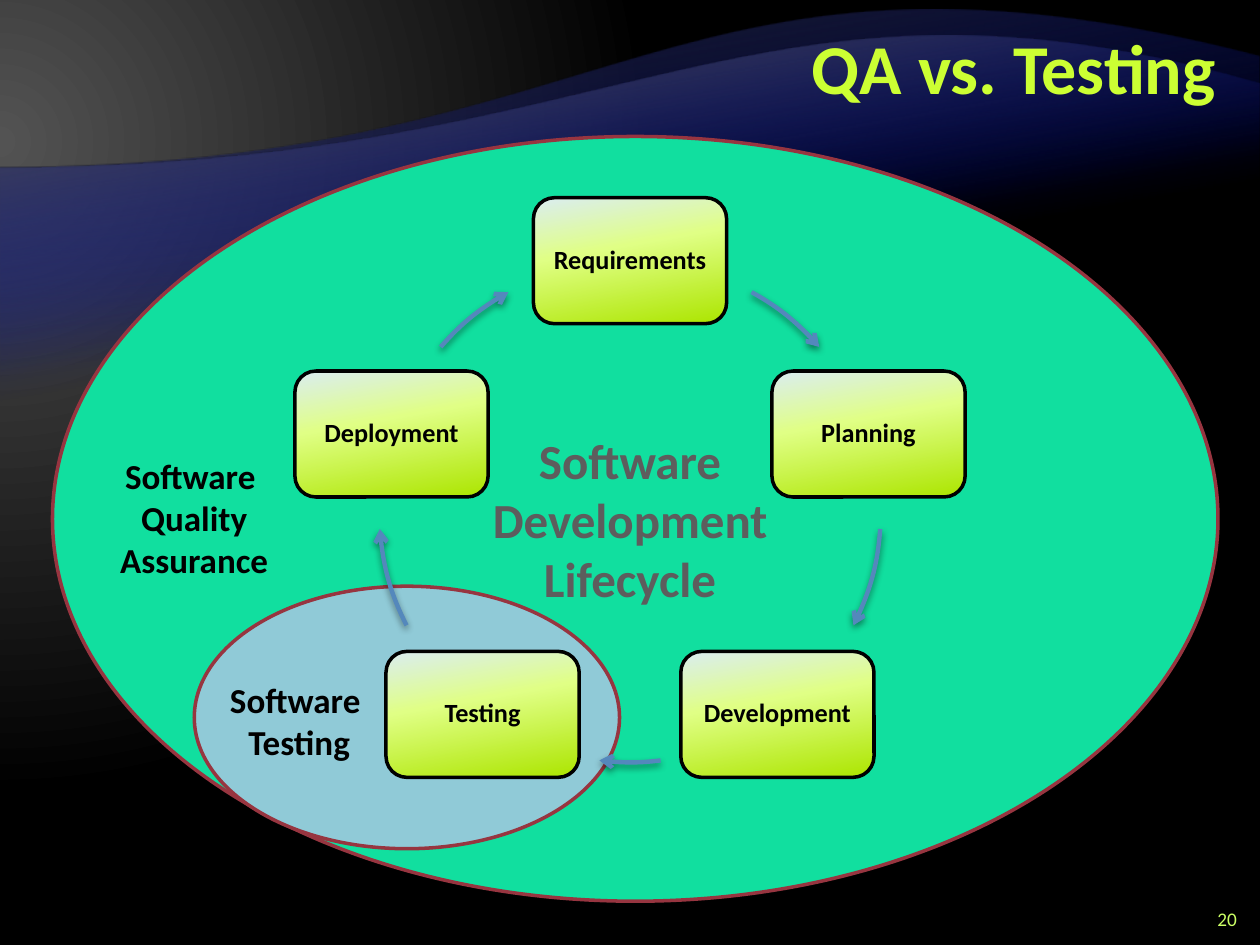
import math

import pptx
import pptx.dml.color
import pptx.enum.shapes
import pptx.enum.text
import pptx.oxml
import pptx.oxml.ns
import pptx.util
from pptx.util import Pt

A_NS = pptx.oxml.ns.nsdecls("a")
ALIGN = pptx.enum.text.PP_ALIGN
SHAPE = pptx.enum.shapes.MSO_SHAPE
MIDDLE = pptx.enum.text.MSO_ANCHOR.MIDDLE


def rgb(value):
    return pptx.dml.color.RGBColor.from_string(value)


def set_gradient(owner, element, stops, shade):
    """Fill owner with (percent, colour, alpha percent) stops and a shade element."""
    owner.fill.gradient()
    grad = next(element.iter(pptx.oxml.ns.qn("a:gradFill")))
    grad.clear()
    marks = "".join(
        f'<a:gs pos="{pos * 1000}"><a:srgbClr val="{colour}">'
        f'<a:alpha val="{alpha * 1000}"/></a:srgbClr></a:gs>'
        for pos, colour, alpha in stops)
    grad.append(pptx.oxml.parse_xml(f"<a:gsLst {A_NS}>{marks}</a:gsLst>"))
    grad.append(pptx.oxml.parse_xml(shade))


prs = pptx.Presentation()
prs.slide_width, prs.slide_height = Pt(720), Pt(540)
s = prs.slides.add_slide(prs.slide_layouts[5])

set_gradient(s.background, s.element, [(0, "535353", 100), (83, "000000", 100)],
             f'<a:path {A_NS} path="circle"><a:fillToRect l="20000" t="30000" '
             'r="135000" b="100000"/></a:path>')

# Quality assurance contains testing
for box, colour in [((30, 78, 666, 437), "11DF9F"), ((111, 335, 243, 150), "90CAD7")]:
    sp = s.shapes.add_shape(SHAPE.OVAL, *map(Pt, box))
    sp.shadow.inherit = False
    sp.fill.solid()
    sp.fill.fore_color.rgb = rgb(colour)
    sp.line.color.rgb = rgb("973540")
    sp.line.width = Pt(2)

# Each curve: frame, Bezier points, and for a filled wave its end colour
curves = [
    ((0, 32.5, 720, 437.5), [(0, 96), (360, 96), (384.5, -54), (720, 32.5)], "242424"),
    ((0, 48, 720, 353), [(0, 96), (360, 96), (430.5, -35.5), (720, 48)], "535353"),
]

# Lifecycle: steps every 72 degrees on a circle, with an arc after each
cx, cy, radius = 360, 292.3, 143.3
box_w, box_h = 110.4, 72
steps = [("Requirements", -61, -41), ("Planning", 4, 27), ("Development", 83, 97),
         ("Testing", 153, 176), ("Deployment", 221, 241)]
for i, (name, start, end) in enumerate(steps):
    angle = math.radians(72 * i - 90)
    sp = s.shapes.add_shape(SHAPE.ROUNDED_RECTANGLE,
                            Pt(cx + radius * math.cos(angle) - box_w / 2),
                            Pt(cy + radius * math.sin(angle) - box_h / 2),
                            Pt(box_w), Pt(box_h))
    sp.shadow.inherit = False
    set_gradient(sp, sp.element,
                 [(0, "DAEDF2", 100), (40, "E0FF85", 100), (100, "ACE500", 100)],
                 f'<a:lin {A_NS} ang="{80 * 60000}" scaled="0"/>')
    sp.line.color.rgb = rgb("000000")
    sp.line.width = Pt(2)
    tf = sp.text_frame
    tf.word_wrap = True
    tf.vertical_anchor = MIDDLE
    for side in ("left", "right", "top", "bottom"):
        setattr(tf, f"margin_{side}", Pt(4))
    p = tf.paragraphs[0]
    p.alignment = ALIGN.CENTER
    p.line_spacing = 0.9
    r = p.add_run()
    r.text = name
    for key, value in {"name": "Calibri", "size": Pt(15), "bold": True}.items():
        setattr(r.font, key, value)
    r.font.color.rgb = rgb("000000")

    a, b = math.radians(start), math.radians(end)
    k = 4 / 3 * math.tan((b - a) / 4)
    unit = [(math.cos(a), math.sin(a)),
            (math.cos(a) - k * math.sin(a), math.sin(a) + k * math.cos(a)),
            (math.cos(b) + k * math.sin(b), math.sin(b) - k * math.cos(b)),
            (math.cos(b), math.sin(b))]
    curves.append(((cx - radius, cy - radius, 2 * radius, 2 * radius),
                   [(cx + radius * x, cy + radius * y) for x, y in unit], None))

tree = s.shapes.title.element.getparent()
for i, ((left, top, width, height), points, wave_colour) in enumerate(curves):
    builder = s.shapes.build_freeform(Pt(left), Pt(top))
    builder.add_line_segments([(Pt(left + width), Pt(top + height))], close=False)
    sp = builder.convert_to_shape()
    sp.shadow.inherit = False
    corners = [(left + width, top + height), (left, top + height)] if wave_colour else []
    pts = [f'<a:pt x="{int(Pt(x - left))}" y="{int(Pt(y - top))}"/>'
           for x, y in points + corners]
    body = f'<a:moveTo>{pts[0]}</a:moveTo><a:cubicBezTo>{"".join(pts[1:4])}</a:cubicBezTo>'
    body += "".join(f"<a:lnTo>{pt}</a:lnTo>" for pt in pts[4:])
    body += "<a:close/>" if wave_colour else ""
    outline = next(sp.element.iter(pptx.oxml.ns.qn("a:path")))
    outline.getparent().replace(outline, pptx.oxml.parse_xml(
        f'<a:path {A_NS} w="{int(Pt(width))}" h="{int(Pt(height))}">{body}</a:path>'))
    if wave_colour:
        sp.line.fill.background()
        set_gradient(sp, sp.element, [(65, "000D9E", 0), (100, wave_colour, 100)],
                     f'<a:lin {A_NS} ang="{260 * 60000}" scaled="0"/>')
        tree.insert(2 + i, sp.element)  # waves lie at the back
        continue
    sp.fill.background()
    sp.line.color.rgb = rgb("5488BC")
    sp.line.width = Pt(2.5)
    ln = next(sp.element.iter(pptx.oxml.ns.qn("a:ln")))
    ln.append(pptx.oxml.parse_xml(f'<a:tailEnd {A_NS} type="arrow"/>'))
    effects = next(sp.element.iter(pptx.oxml.ns.qn("a:effectLst")))
    effects.append(pptx.oxml.parse_xml(
        f'<a:outerShdw {A_NS} blurRad="{int(Pt(4))}" dist="{int(Pt(2))}" dir="5400000" '
        'rotWithShape="0"><a:srgbClr val="000000"><a:alpha val="43000"/>'
        '</a:srgbClr></a:outerShdw>'))

# Title goes in front of the waves
title = s.shapes.title
tree.append(title.element)
title.left, title.top, title.width, title.height = Pt(144), Pt(6), Pt(558), Pt(72)

number = s.shapes.add_textbox(Pt(678), Pt(516), Pt(36), Pt(18))
quality = s.shapes.add_textbox(Pt(42), Pt(256), Pt(138), Pt(80))
testing = s.shapes.add_textbox(Pt(102), Pt(384), Pt(138), Pt(56))
lifecycle = s.shapes.add_textbox(Pt(258), Pt(242.5), Pt(204), Pt(109))
for sp, text, size, colour, bold, align in [
    (title, "QA vs. Testing", 40, "CCFF33", True, ALIGN.RIGHT),
    (number, "20", 11, "CCFF66", False, ALIGN.RIGHT),
    (quality, "Software \vQuality Assurance", 20, "000000", True, ALIGN.CENTER),
    (testing, "Software \vTesting", 20, "000000", True, ALIGN.CENTER),
    (lifecycle, "Software\vDevelopment\vLifecycle", 28, "5D5D5D", True, ALIGN.CENTER),
]:
    tf = sp.text_frame
    tf.word_wrap = True
    if sp in (title, number):
        tf.vertical_anchor = MIDDLE
    p = tf.paragraphs[0]
    p.text = text
    p.alignment = align
    for r in p.runs:
        for key, value in {"name": "Calibri", "size": Pt(size), "bold": bold}.items():
            setattr(r.font, key, value)
        r.font.color.rgb = rgb(colour)
title.text_frame.paragraphs[0].line_spacing = Pt(40)

prs.save("out.pptx")
